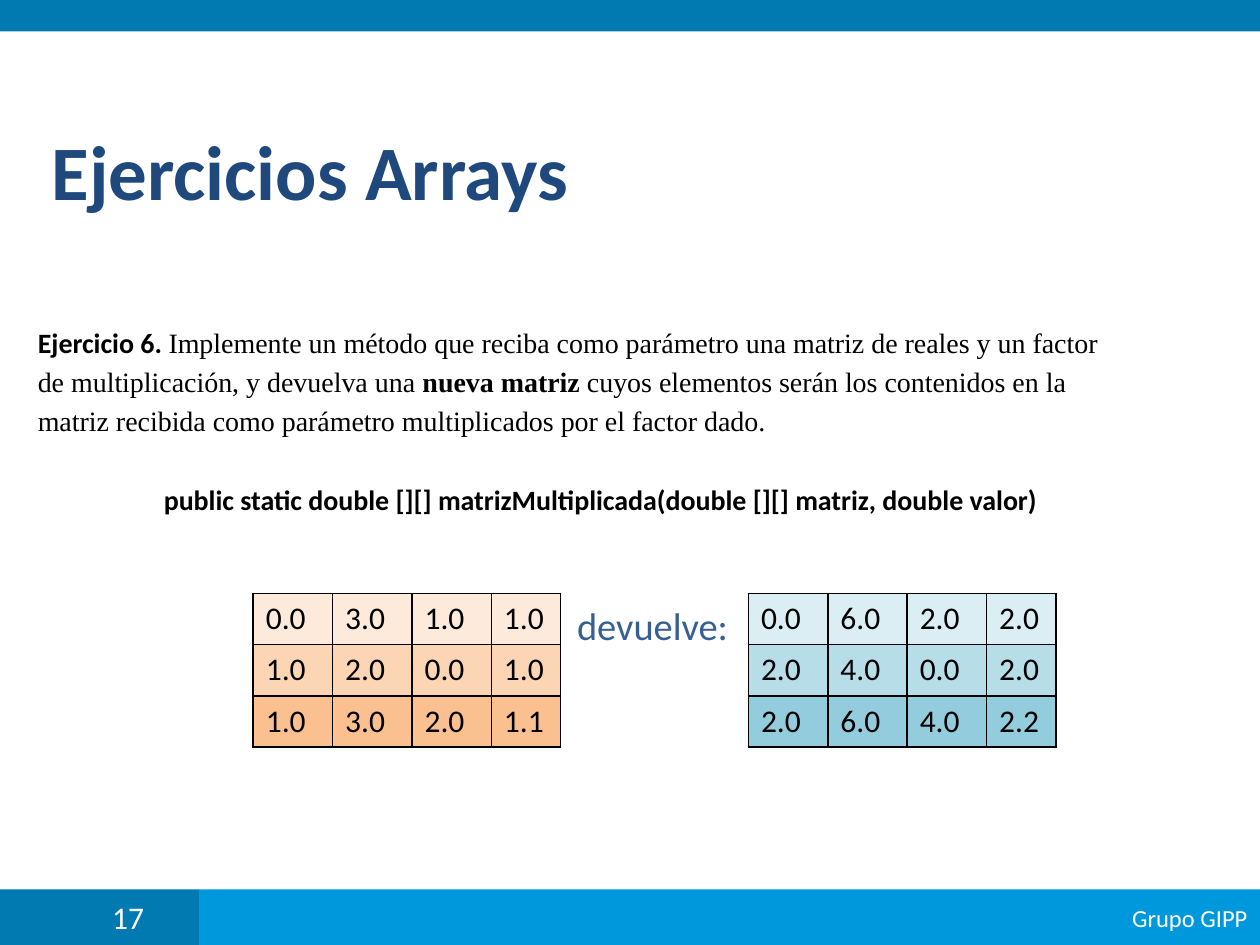
import pptx
import pptx.dml.color
import pptx.enum.shapes
import pptx.enum.text
import pptx.util
from lxml import etree
from pptx.util import Inches

ALIGN = pptx.enum.text.PP_ALIGN
ANCHOR = pptx.enum.text.MSO_ANCHOR
SANS, SERIF = "Calibri", "Times New Roman"
BLACK, WHITE, NAVY, STEEL = "000000", "FFFFFF", "1F497D", "376092"
DARK_BLUE, LIGHT_BLUE = "007AB1", "0098DC"

TITLE = "Ejercicios Arrays"

# Each paragraph: alignment, left indent (inches), space before (points), runs.
# Each run: text, font, size, colour, bold.
BODY = [
    (ALIGN.JUSTIFY, 0, 0, [
        ("Ejercicio 6. ", SANS, 16, BLACK, True),
        ("Implemente un método que reciba como parámetro una matriz de reales y un factor",
         SERIF, 16, BLACK, False)]),
    (ALIGN.JUSTIFY, 0, 3.2, [
        ("de multiplicación, y devuelva una ", SERIF, 16, BLACK, False),
        ("nueva matriz ", SERIF, 16, BLACK, True),
        ("cuyos elementos serán los contenidos en la", SERIF, 16, BLACK, False)]),
    (ALIGN.JUSTIFY, 0, 3.2, [
        ("matriz recibida como parámetro multiplicados por el factor dado.",
         SERIF, 16, BLACK, False)]),
    (ALIGN.LEFT, 1, 26, [
        ("public static double [][] matrizMultiplicada(double [][] matriz, double valor)",
         SANS, 16, BLACK, True)]),
    (ALIGN.LEFT, 4.28, 49, [("devuelve:", SANS, 22, STEEL, False)]),
]

# Left edge, row colours, values
MATRICES = [
    (2.01, ["FDEADA", "FCD5B5", "FAC090"],
     [["0.0", "3.0", "1.0", "1.0"],
      ["1.0", "2.0", "0.0", "1.0"],
      ["1.0", "3.0", "2.0", "1.1"]]),
    (5.94, ["DBEEF4", "B7DEE8", "93CDDD"],
     [["0.0", "6.0", "2.0", "2.0"],
      ["2.0", "4.0", "0.0", "2.0"],
      ["2.0", "6.0", "4.0", "2.2"]]),
]
MATRIX_TOP, MATRIX_HEIGHT = 4.71, 1.22
COLUMN_WIDTHS = [0.63, 0.63, 0.63, 0.55]


def rgb(value):
    return pptx.dml.color.RGBColor.from_string(value)


def add_run(paragraph, text, font, size, color, bold=False):
    run = paragraph.add_run()
    run.text = text
    run.font.name = font
    run.font.size = pptx.util.Pt(size)
    run.font.color.rgb = rgb(color)
    run.font.bold = bold


def place(shape, left, top, width, height):
    shape.left, shape.top = Inches(left), Inches(top)
    shape.width, shape.height = Inches(width), Inches(height)


def add_bar(slide, left, top, width, height, color):
    bar = slide.shapes.add_shape(pptx.enum.shapes.MSO_SHAPE.RECTANGLE, Inches(left),
                                 Inches(top), Inches(width), Inches(height))
    bar.shadow.inherit = False
    bar.fill.solid()
    bar.fill.fore_color.rgb = rgb(color)
    bar.line.fill.background()
    bar.text_frame.vertical_anchor = ANCHOR.MIDDLE
    return bar


def add_borders(cell):
    """Draw a thin black line on all four sides, ahead of the cell's fill."""
    properties = cell._tc.get_or_add_tcPr()
    namespace = "{http://schemas.openxmlformats.org/drawingml/2006/main}"
    for position, side in enumerate(("lnL", "lnR", "lnT", "lnB")):
        line = etree.Element(namespace + side, w=str(pptx.util.Pt(1)))
        fill = etree.SubElement(line, namespace + "solidFill")
        etree.SubElement(fill, namespace + "srgbClr", val=BLACK)
        properties.insert(position, line)


def add_matrix(slide, left, row_colors, values):
    table = slide.shapes.add_table(
        len(values), len(COLUMN_WIDTHS), Inches(left), Inches(MATRIX_TOP),
        Inches(sum(COLUMN_WIDTHS)), Inches(MATRIX_HEIGHT)).table
    table.first_row = table.horz_banding = False
    for column, width in zip(table.columns, COLUMN_WIDTHS):
        column.width = Inches(width)
    for row, color, row_values in zip(table.rows, row_colors, values):
        row.height = Inches(MATRIX_HEIGHT / len(values))
        for cell, value in zip(row.cells, row_values):
            cell.fill.solid()
            cell.fill.fore_color.rgb = rgb(color)
            add_borders(cell)
            add_run(cell.text_frame.paragraphs[0], value, SANS, 18, BLACK)


def fill_title(title):
    place(title, 0.31, 0.68, 9.69, 1.34)
    title.text_frame.vertical_anchor = ANCHOR.MIDDLE
    paragraph = title.text_frame.paragraphs[0]
    paragraph.alignment = ALIGN.LEFT
    add_run(paragraph, TITLE, SANS, 44, NAVY, True)


def fill_body(body):
    place(body, 0.2, 2.53, 9.45, 4.37)
    frame = body.text_frame
    frame.auto_size = pptx.enum.text.MSO_AUTO_SIZE.NONE
    frame.vertical_anchor = ANCHOR.TOP
    for index, (alignment, indent, space, runs) in enumerate(BODY):
        paragraph = frame.add_paragraph() if index else frame.paragraphs[0]
        paragraph.alignment = alignment
        paragraph.space_before = pptx.util.Pt(space)
        properties = paragraph._p.get_or_add_pPr()
        properties.set("marL", str(Inches(indent)))
        properties.set("indent", "0")
        for run in runs:
            add_run(paragraph, *run)


def main():
    presentation = pptx.Presentation()
    presentation.slide_width, presentation.slide_height = Inches(10), Inches(7.5)
    slide = presentation.slides.add_slide(presentation.slide_layouts[0])
    fill_title(slide.shapes.title)
    fill_body(slide.placeholders[1])

    add_bar(slide, 0, 0, 10, 0.25, DARK_BLUE)
    number_bar = add_bar(slide, 0, 7.06, 1.58, 0.44, DARK_BLUE)
    number_bar.text_frame.margin_left = Inches(0.89)
    group_bar = add_bar(slide, 1.58, 7.06, 8.42, 0.44, LIGHT_BLUE)
    for bar, text, size, alignment in [(number_bar, "17", 18, ALIGN.LEFT),
                                       (group_bar, "Grupo GIPP", 14, ALIGN.RIGHT)]:
        paragraph = bar.text_frame.paragraphs[0]
        paragraph.alignment = alignment
        add_run(paragraph, text, SANS, size, WHITE)

    for matrix in MATRICES:
        add_matrix(slide, *matrix)
    presentation.save("out.pptx")


if __name__ == "__main__":
    main()
